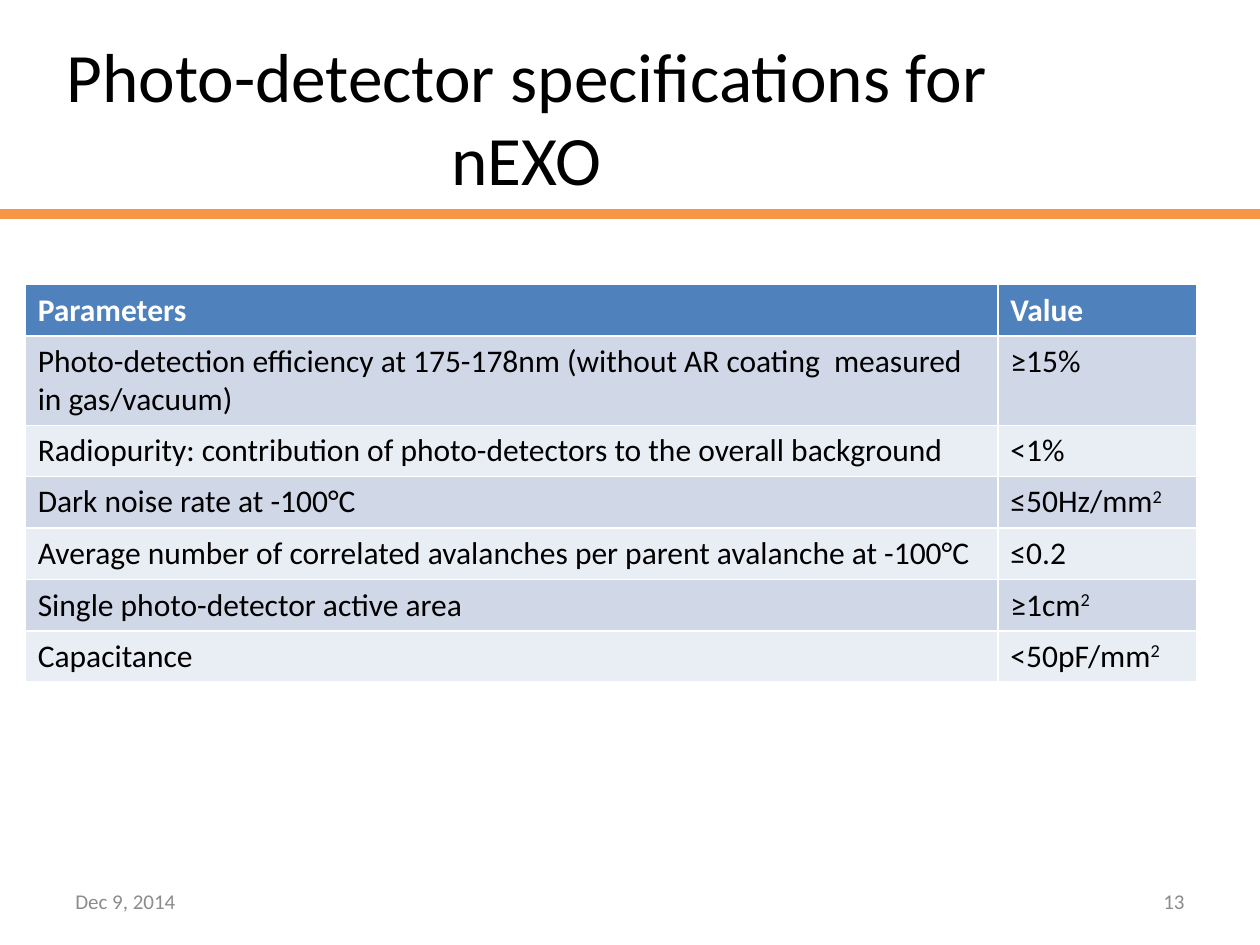
import pptx
import pptx.util
from lxml import etree
from pptx.dml.color import RGBColor
from pptx.enum.shapes import MSO_CONNECTOR
from pptx.enum.text import MSO_ANCHOR, PP_ALIGN
from pptx.oxml.ns import qn
from pptx.util import Inches, Pt

BLACK = RGBColor(0x00, 0x00, 0x00)
WHITE = RGBColor(0xFF, 0xFF, 0xFF)
GRAY = RGBColor(0x8C, 0x8C, 0x8C)
ORANGE = RGBColor(0xF7, 0x96, 0x46)
HEADER_BLUE = RGBColor(0x4F, 0x81, 0xBD)
BANDS = (RGBColor(0xD0, 0xD8, 0xE8), RGBColor(0xE9, 0xED, 0xF4))

TITLE = "Photo-detector specifications for nEXO"
# Each row: parameter, value, superscript after the value
ROWS = [
    ("Parameters", "Value", ""),
    ("Photo-detection efficiency at 175-178nm (without AR coating  measured in gas/vacuum)", "≥15%", ""),
    ("Radiopurity: contribution of photo-detectors to the overall background", "<1%", ""),
    ("Dark noise rate at -100°C", "≤50Hz/mm", "2"),
    ("Average number of correlated avalanches per parent avalanche at -100°C", "≤0.2", ""),
    ("Single photo-detector active area", "≥1cm", "2"),
    ("Capacitance", "<50pF/mm", "2"),
]
COLUMN_WIDTHS = (7.72, 1.58)
ROW_HEIGHTS = (0.4, 0.71, 0.4, 0.41, 0.41, 0.4, 0.4)
FOOTERS = [
    ("Dec 9, 2014", 0.5, PP_ALIGN.LEFT),
    ("13", 7.17, PP_ALIGN.RIGHT),
]


def add_run(paragraph, text, size, color, bold=False):
    run = paragraph.add_run()
    run.text = text
    formats = {"name": "Calibri", "size": Pt(size), "bold": bold}
    for name, value in formats.items():
        setattr(run.font, name, value)
    run.font.color.rgb = color
    return run


def place(shape, left, top, width, height):
    box = {"left": left, "top": top, "width": width, "height": height}
    for name, value in box.items():
        setattr(shape, name, Inches(value))


def add_rule(slide):
    rule = slide.shapes.add_connector(
        MSO_CONNECTOR.STRAIGHT, 0, Inches(1.7), Inches(10), Inches(1.7))
    rule.line.color.rgb = ORANGE
    rule.line.width = Pt(6)
    etree.SubElement(rule._element.spPr, qn("a:effectLst"))


def fill_title(title):
    place(title, 0.28, 0.3, 7.8, 1.25)
    title.text_frame.vertical_anchor = MSO_ANCHOR.MIDDLE
    paragraph = title.text_frame.paragraphs[0]
    paragraph.alignment = PP_ALIGN.CENTER
    add_run(paragraph, TITLE, 39.6, BLACK)


def add_specifications(slide):
    table = slide.shapes.add_table(
        len(ROWS), len(COLUMN_WIDTHS), Inches(0.2), Inches(2.26),
        Inches(sum(COLUMN_WIDTHS)), Inches(sum(ROW_HEIGHTS))).table
    for column, width in zip(table.columns, COLUMN_WIDTHS):
        column.width = Inches(width)
    for row, height in zip(table.rows, ROW_HEIGHTS):
        row.height = Inches(height)
    for index, (parameter, value, superscript) in enumerate(ROWS):
        header = index == 0
        color = WHITE if header else BLACK
        for column, text in enumerate((parameter, value)):
            cell = table.cell(index, column)
            cell.fill.solid()
            cell.fill.fore_color.rgb = HEADER_BLUE if header else BANDS[(index - 1) % 2]
            paragraph = cell.text_frame.paragraphs[0]
            add_run(paragraph, text, 18, color, header)
        if superscript:
            run = add_run(paragraph, superscript, 18, color)
            run._r.get_or_add_rPr().set("baseline", "30000")


def add_footer(slide, text, left, alignment):
    frame = slide.shapes.add_textbox(
        Inches(left), Inches(6.95), Inches(2.33), Inches(0.4)).text_frame
    frame.word_wrap = True
    frame.vertical_anchor = MSO_ANCHOR.MIDDLE
    paragraph = frame.paragraphs[0]
    paragraph.alignment = alignment
    add_run(paragraph, text, 12, GRAY)


def main():
    presentation = pptx.Presentation()
    presentation.slide_width = Inches(10)
    presentation.slide_height = Inches(7.5)
    slide = presentation.slides.add_slide(presentation.slide_layouts[5])
    add_rule(slide)
    fill_title(slide.shapes.title)
    add_specifications(slide)
    for footer in FOOTERS:
        add_footer(slide, *footer)
    presentation.save("out.pptx")


if __name__ == "__main__":
    main()
